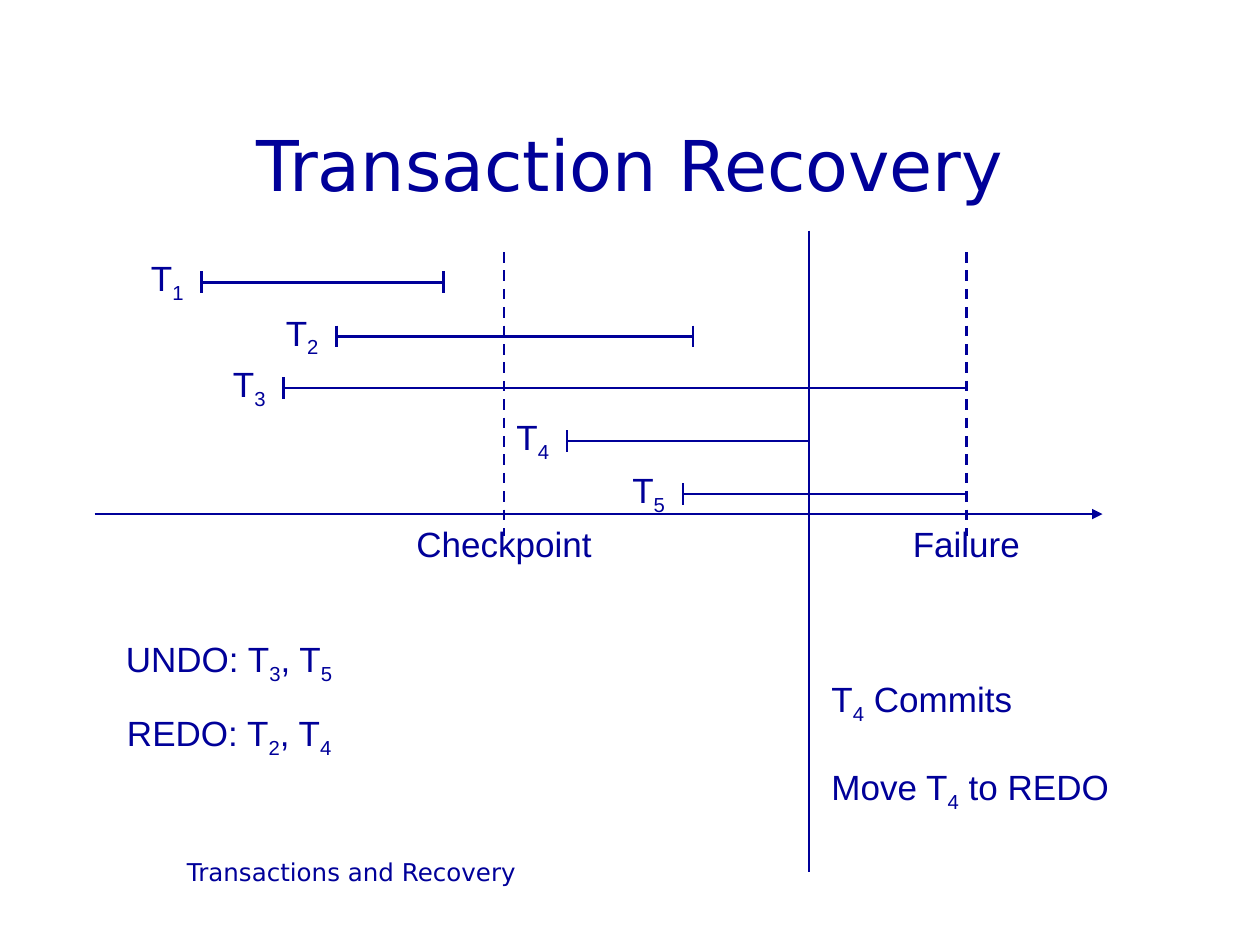
from lxml.etree import SubElement
from pptx import Presentation
from pptx.dml.color import RGBColor
from pptx.enum.dml import MSO_LINE_DASH_STYLE as Dash
from pptx.enum.shapes import MSO_CONNECTOR as Connector
from pptx.enum.text import MSO_ANCHOR as Anchor, MSO_AUTO_SIZE as AutoSize, PP_ALIGN as Align
from pptx.oxml.ns import qn
from pptx.util import Inches, Pt

NAVY = "000099"
HEADING_FONT = "DejaVu Sans"
BODY_FONT = "Arial"

CHECKPOINT, COMMIT, FAILURE = 4, 6.42, 7.67
TICK = 0.17
LABEL_GAP = 0.5
LABEL_RISE = 0.25

TRANSACTIONS = [
    ("T_1", 2.24, 1.6, 3.52, True),
    ("T_2", 2.67, 2.67, 5.5, True),
    ("T_3", 3.08, 2.25, FAILURE, False),
    ("T_4", 3.5, 4.5, COMMIT, True),
    ("T_5", 3.92, 5.42, FAILURE, False),
]
EVENTS = [("Checkpoint", CHECKPOINT, 1.59), ("Failure", FAILURE, 1.05)]
NOTES = [
    (["UNDO: T_3, T_5"], (0.9, 5.01, 3.02, 0.48), True),
    (["REDO: T_2, T_4"], (0.91, 5.6, 1.83, 0.48), False),
    (["T_4 Commits", "Move T_4 to REDO"], (6.5, 5.33, 2.42, 1.19), True),
]


def color(hex_value):
    return RGBColor.from_string(hex_value)


def add_run(paragraph, text, size, font, subscript=False):
    run = paragraph.add_run()
    run.text = text
    for name, value in {"size": Pt(size), "name": font}.items():
        setattr(run.font, name, value)
    run.font.color.rgb = color(NAVY)
    if subscript:
        run.font._element.set("baseline", "-25000")


def write(frame, lines, size=20, font=BODY_FONT, align=Align.LEFT):
    for index, line in enumerate(lines):
        paragraph = frame.add_paragraph() if index else frame.paragraphs[0]
        paragraph.alignment = align
        if index:
            paragraph.space_before = Pt(23)
        first, *rest = line.split("_")
        add_run(paragraph, first, size, font)
        for piece in rest:
            add_run(paragraph, piece[0], size, font, subscript=True)
            if piece[1:]:
                add_run(paragraph, piece[1:], size, font)


def add_text(slide, lines, box, wrap=False, fit=AutoSize.SHAPE_TO_FIT_TEXT, **style):
    frame = slide.shapes.add_textbox(*map(Inches, box)).text_frame
    for name, value in {"word_wrap": wrap, "auto_size": fit}.items():
        setattr(frame, name, value)
    write(frame, lines, **style)


def add_line(slide, x1, y1, x2, y2, dash=None, arrow=False):
    line = slide.shapes.add_connector(Connector.STRAIGHT, *map(Inches, (x1, y1, x2, y2)))
    line.line.color.rgb = color(NAVY)
    line.line.width = Pt(1.5)
    if dash:
        line.line.dash_style = dash
    if arrow:
        SubElement(line.line._get_or_add_ln(), qn("a:tailEnd"), type="triangle")
    SubElement(line._element.spPr, qn("a:effectLst"))


def add_title(slide):
    title = slide.shapes.title
    box = {"left": 0.75, "top": 0.67, "width": 8.5, "height": 1.25}
    for name, value in box.items():
        setattr(title, name, Inches(value))
    title.text_frame.vertical_anchor = Anchor.MIDDLE
    write(title.text_frame, ["Transaction Recovery"], 40, HEADING_FONT, Align.CENTER)


def add_timeline(slide):
    for _, x, _ in EVENTS:
        add_line(slide, x, 2, x, 4.25, dash=Dash.DASH)
    add_line(slide, 0.75, 4.08, 8.75, 4.08, arrow=True)
    for label, y, start, end, finished in TRANSACTIONS:
        add_line(slide, start, y, end, y)
        for x in (start, end) if finished else (start,):
            add_line(slide, x, y - TICK / 2, x, y + TICK / 2)
        add_text(slide, [label], (start - LABEL_GAP, y - LABEL_RISE, 0.46, 0.48))
    for label, x, width in EVENTS:
        add_text(slide, [label], (x - width / 2, 4.1, width, 0.44), align=Align.CENTER)
    add_line(slide, COMMIT, 1.83, COMMIT, 6.92)


def main():
    deck = Presentation()
    deck.slide_width, deck.slide_height = Inches(10), Inches(7.5)
    slide = deck.slides.add_slide(deck.slide_layouts[5])
    add_title(slide)
    add_timeline(slide)
    for lines, box, wrap in NOTES:
        add_text(slide, lines, box, wrap)
    add_text(slide, ["Transactions and Recovery"], (0.75, 6.75, 4.08, 0.5), True,
             AutoSize.NONE, size=14, font=HEADING_FONT, align=Align.CENTER)
    deck.save("out.pptx")


if __name__ == "__main__":
    main()
